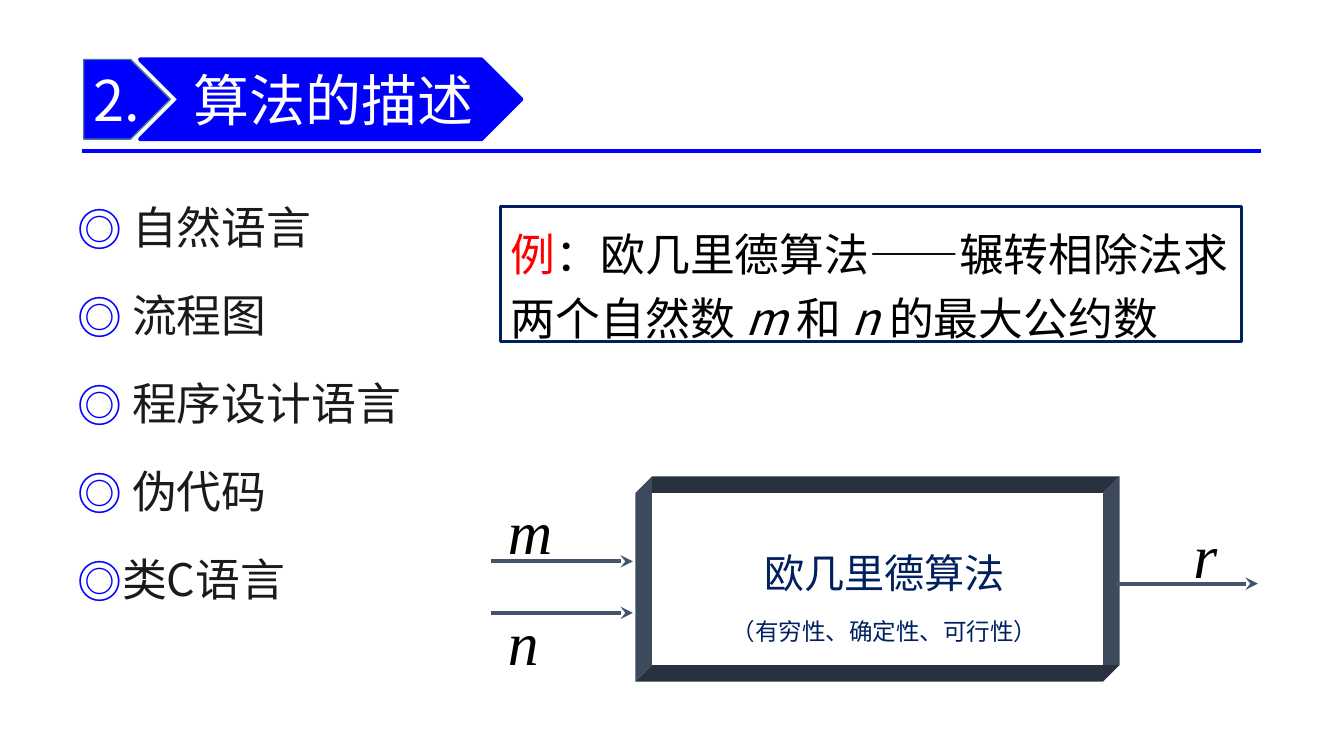
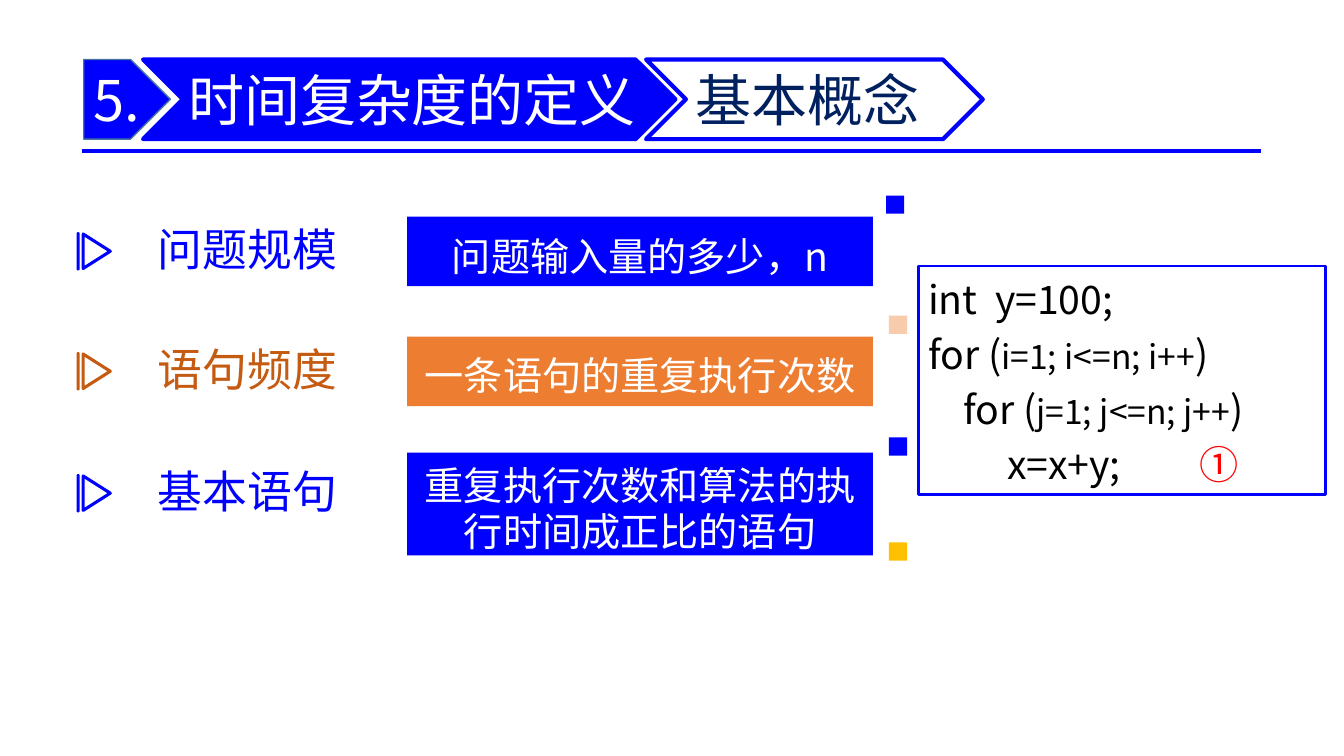
from lxml import etree
from pptx import Presentation
from pptx.dml.color import RGBColor
from pptx.enum.shapes import MSO_CONNECTOR, MSO_SHAPE
from pptx.enum.text import MSO_ANCHOR, PP_ALIGN
from pptx.oxml.ns import qn
from pptx.util import Pt

RECT, ROUND = MSO_SHAPE.RECTANGLE, MSO_SHAPE.ROUNDED_RECTANGLE
PLATE, CHEVRON = MSO_SHAPE.PENTAGON, MSO_SHAPE.CHEVRON
STRAIGHT = MSO_CONNECTOR.STRAIGHT
LEFT, CENTER = PP_ALIGN.LEFT, PP_ALIGN.CENTER
TOP, MIDDLE = MSO_ANCHOR.TOP, MSO_ANCHOR.MIDDLE

BLUE = RGBColor(0x00, 0x00, 0xFF)
BAND = RGBColor(0x00, 0x00, 0xFA)
STEEL = RGBColor(0x43, 0x73, 0x9E)
NAVY = RGBColor(0x00, 0x20, 0x60)
SLATE = RGBColor(0x44, 0x54, 0x6A)
SIDE = RGBColor(0x3D, 0x4A, 0x5B)
EDGE = RGBColor(0x28, 0x32, 0x3F)
RED = RGBColor(0xFF, 0x00, 0x00)
RUST = RGBColor(0xC5, 0x5A, 0x11)
ORANGE = RGBColor(0xED, 0x7D, 0x31)
PEACH = RGBColor(0xF8, 0xCB, 0xAD)
GOLD = RGBColor(0xFF, 0xC0, 0x00)
INK = RGBColor(0x1A, 0x1A, 0x1A)
BLACK = RGBColor(0, 0, 0)
WHITE = RGBColor(0xFF, 0xFF, 0xFF)

SANS, SERIF = "Noto Sans CJK SC", "Times New Roman"
INSETS = (7.2, 3.6, 7.2, 3.6)

WAYS = [" 自然语言", " 流程图", " 程序设计语言", " 伪代码", "类C语言"]
EXAMPLE = [[
    ("例", {"color": RED}),
    ("：欧几里德算法——辗转相除法求两个自然数 ", {}),
    ("m ", {"italic": True}),
    ("和 ", {}),
    ("n ", {"italic": True}),
    ("的最大公约数", {}),
]]
BOX = [[("欧几里德算法", {"size": 28.7})],
       [("（有穷性、确定性、可行性）", {"size": 16.8})]]
# Variable, label left and top, arrow left and height
FLOWS = [
    ("m", 355.7, 348.5, 350.6, 401),
    ("n", 355.7, 427.5, 350.6, 437.8),
    ("r", 845.3, 366, 797, 416.9),
]
# Term, its colour, definition, fill, term top, definition top and height
TERMS = [
    ("问题规模", BLUE, "问题输入量的多少，n", BLUE, 154.8, 154.8, 49.7),
    ("语句频度", RUST, "一条语句的重复执行次数", ORANGE, 240.5, 240.5, 49.7),
    ("基本语句", BLUE, "重复执行次数和算法的执行时间成正比的语句", BLUE,
     327.6, 323.3, 73.4),
]
SQUARES = [(632.9, 139.7, BLUE), (635, 225.4, PEACH),
           (635, 312.5, BLUE), (635, 387.4, GOLD)]
SMALL = {"size": 24}
CODE = [
    "int  y=100;",
    [("for (", {}), ("i=1; i<=n; i++", SMALL), (")", {})],
    [("    for (", {}), ("j=1; j<=n; j++", SMALL), (")", {})],
    [("         x=x+y;\t", {}), ("①", {"color": RED})],
]


def paint(shape, fill, line=None, width=0):
    shape.shadow.inherit = False
    if fill is None:
        shape.fill.background()
    else:
        shape.fill.solid()
        shape.fill.fore_color.rgb = fill
    if line is None:
        shape.line.fill.background()
    else:
        shape.line.color.rgb = line
        shape.line.width = Pt(width)
    return shape


def add(slide, kind, place, fill, line=None, width=0):
    shape = slide.shapes.add_shape(kind, *map(Pt, place))
    return paint(shape, fill, line, width)


def outline(slide, points, fill, line=None, width=0):
    first, *rest = [(Pt(x), Pt(y)) for x, y in points]
    form = slide.shapes.build_freeform(*first)
    form.add_line_segments(rest)
    return paint(form.convert_to_shape(), fill, line, width)


def rule(slide, start, end, color, arrow=False):
    line = slide.shapes.add_connector(STRAIGHT, *map(Pt, start + end))
    line.line.color.rgb = color
    line.line.width = Pt(3)
    if arrow:
        etree.SubElement(line.line._get_or_add_ln(), qn("a:tailEnd"),
                         type="stealth")
    etree.SubElement(line._element.spPr, qn("a:effectLst"))


def style(run, size, color, font=SANS, italic=False):
    run.font.size = Pt(size)
    run.font.color.rgb = color
    run.font.name = font
    run.font.italic = italic
    props = run._r.get_or_add_rPr()
    props.find(qn("a:latin")).addnext(
        etree.Element(qn("a:ea"), typeface=font))


def bullet(para):
    props = para._p.get_or_add_pPr()
    props.set("marL", str(Pt(54)))
    props.set("indent", str(Pt(-18)))
    tint = etree.SubElement(props, qn("a:buClr"))
    etree.SubElement(tint, qn("a:srgbClr"), val=str(BLUE))
    etree.SubElement(props, qn("a:buFont"), typeface=SANS)
    etree.SubElement(props, qn("a:buChar"), char="◎")


def tab(para, stop):
    tabs = etree.SubElement(para._p.get_or_add_pPr(), qn("a:tabLst"))
    etree.SubElement(tabs, qn("a:tab"), pos=str(Pt(stop)), algn="l")


def write(shape, paras, align=LEFT, anchor=TOP, insets=INSETS, wrap=True,
          lines=None, gap=0, marks=False, stop=None, **look):
    """Fill a shape; each paragraph is a string or a list of (text, changes)."""
    frame = shape.text_frame
    frame.word_wrap = wrap
    frame.vertical_anchor = anchor
    (frame.margin_left, frame.margin_top,
     frame.margin_right, frame.margin_bottom) = map(Pt, insets)
    for i, runs in enumerate(paras):
        para = frame.add_paragraph() if i else frame.paragraphs[0]
        if marks:
            bullet(para)
        if stop:
            tab(para, stop)
        para.alignment = align
        if lines:
            para.line_spacing = Pt(lines[i % len(lines)])
        if i and gap:
            para.space_before = Pt(gap)
        for text, change in [(runs, {})] if isinstance(runs, str) else runs:
            run = para.add_run()
            run.text = text
            style(run, **{**look, **change})


def label(slide, place, text, **look):
    box = slide.shapes.add_textbox(*map(Pt, place))
    write(box, [text], **look)


def start(deck, number, title, left, width, part=None):
    """Add a slide with its numbered title band and the rule below it."""
    slide = deck.slides.add_slide(deck.slide_layouts[6])
    top, high = 42.5, 56.9
    rule(slide, (58.3, 108), (900.7, 108), BLUE)
    look = {"size": 40, "anchor": MIDDLE, "wrap": False}
    if part:
        text, x, wide = part
        shape = add(slide, CHEVRON, (x, top, wide, high), WHITE, BLUE, 3)
        write(shape, [text], color=NAVY, **look)
    plate = add(slide, PLATE, (59.8, top, 61.9, high), BLUE, STEEL, 1)
    write(plate, [number], insets=(7.2, 3.6, 0, 3.6), color=WHITE, **look)
    band = add(slide, CHEVRON, (left, top, width, high), BAND, BLUE, 3)
    write(band, [title], align=CENTER, insets=(4, 0, 0, 0), color=WHITE,
          **look)
    return slide


def frame(slide, x, y, wide, high, deep):
    """Draw a raised frame of four slanted sides around a white face."""
    right, base = x + wide, y + high
    faces = [
        (SIDE, (x, y - deep), (x, base), (x - deep, base + deep),
         (x - deep, y)),
        (SIDE, (right, y), (right + deep, y - deep), (right + deep, base),
         (right, base)),
        (EDGE, (x, y - deep), (right + deep, y - deep), (right, y), (x, y)),
        (EDGE, (x, base), (right + deep, base), (right, base + deep),
         (x - deep, base + deep)),
    ]
    for color, *points in faces:
        outline(slide, points + points[:1], color)
    return add(slide, RECT, (x, y, wide, high), WHITE)


def methods(deck):
    slide = start(deck, "2.", "算法的描述", 100.1, 272.2)
    body = slide.shapes.add_textbox(Pt(12.2), Pt(120), Pt(335), Pt(340))
    write(body, WAYS, marks=True, lines=[57.8], gap=5, size=32, color=INK)

    face = frame(slide, 465.8, 352.2, 322, 122.8, 12)
    write(face, BOX, align=CENTER, insets=(10, 38, 0, 0), lines=[36, 22],
          gap=13, size=28.7, color=NAVY)
    for name, x, y, tail, level in FLOWS:
        rule(slide, (tail, level), (tail + 101.5, level), SLATE, True)
        label(slide, (x, y, 56.9, 59.8), name, size=44, color=BLACK,
              font=SERIF, italic=True)

    note = add(slide, RECT, (357.8, 147.6, 529.2, 96.5), None, NAVY, 2)
    write(note, EXAMPLE, insets=(7.2, 6, 4, 0), lines=[46.4], size=32,
          color=BLACK)


def basics(deck):
    slide = start(deck, "5.", "时间复杂度的定义", 102.2, 380.2,
                  ("基本概念", 461.5, 240.5))
    for term, tint, text, fill, y, top, high in TERMS:
        label(slide, (105.8, y, 185, 45.4), term, anchor=MIDDLE, size=32,
              color=tint)
        box = add(slide, RECT, (290.9, top, 332.6, high), fill)
        write(box, [text], align=CENTER, anchor=MIDDLE, lines=[33],
              insets=(7.2, 9.6, 7.2, 3.6), size=28, color=WHITE)
        bar = add(slide, ROUND, (54.7, y + 11, 2.2, 27.4), tint)
        bar.adjustments[0] = 0.5
        x, y = 59.4, y + 12.4
        outline(slide, [(x, y), (x + 19.4, y + 12.3), (x, y + 24.6), (x, y)],
                None, tint, 2.2)
    for x, y, fill in SQUARES:
        add(slide, RECT, (x, y, 13, 13), fill)
    code = add(slide, RECT, (655.9, 190.1, 290.9, 163.4), WHITE, BLUE, 2)
    write(code, CODE, insets=(7.2, 6.4, 0, 0), lines=[33.7], gap=5.6,
          stop=194, size=28, color=BLACK)


def main():
    deck = Presentation()
    deck.slide_width, deck.slide_height = Pt(960), Pt(540)
    methods(deck)
    basics(deck)
    deck.save("out.pptx")


if __name__ == "__main__":
    main()
